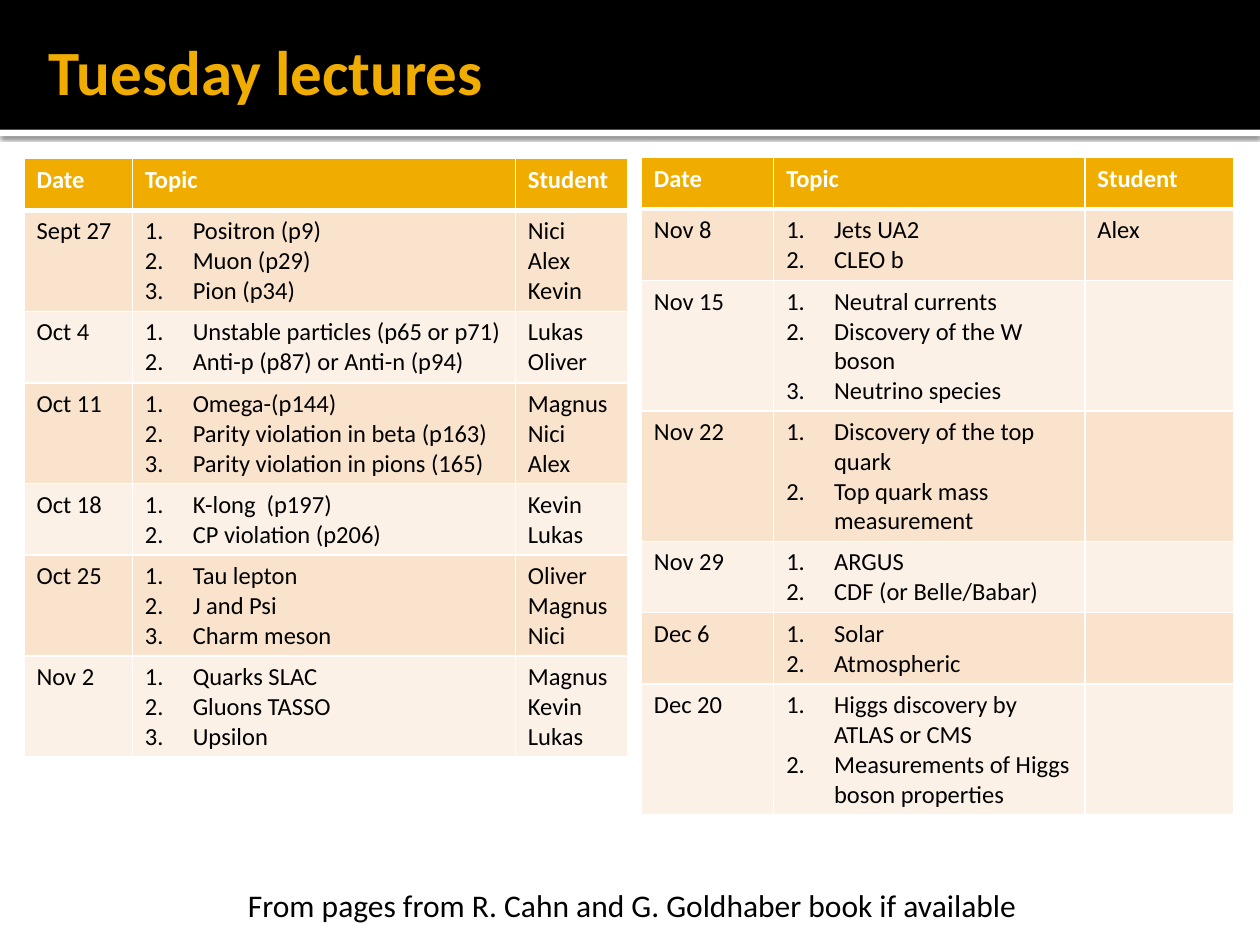
from lxml import etree
from pptx import Presentation, util as u
from pptx.dml.color import RGBColor
from pptx.enum import shapes, text
from pptx.oxml import ns

FONT = "Calibri"
GOLD, BLACK, WHITE = "F0AD00", "000000", "FFFFFF"
BANDS = ["F9E3CC", "FCF1E7"]
ROW = u.Inches(0.41)


def color(value):
    return RGBColor.from_string(value)


def style(frame, size, value, bold=False):
    for paragraph in frame.paragraphs:
        for run in paragraph.runs:
            run.font.name = FONT
            run.font.size = u.Pt(size)
            run.font.bold = bold
            run.font.color.rgb = color(value)


presentation = Presentation()
presentation.slide_width = u.Inches(10)
presentation.slide_height = u.Inches(7.5)
slide = presentation.slides.add_slide(presentation.slide_layouts[6])

for top, height, fill in [(1.03, 0.05, WHITE), (0, 1.03, BLACK)]:
    band = slide.shapes.add_shape(
        shapes.MSO_SHAPE.RECTANGLE, 0, u.Inches(top),
        presentation.slide_width, u.Inches(height))
    band.shadow.inherit = False
    band.fill.solid()
    band.fill.fore_color.rgb = color(fill)
    band.line.fill.background()
    if fill == WHITE:
        effects = band._element.spPr.find(ns.qn("a:effectLst"))
        shadow = etree.SubElement(
            effects, ns.qn("a:outerShdw"), blurRad=str(u.Pt(2.5)),
            dist=str(u.Pt(0.8)), dir="5400000", algn="tl", rotWithShape="0")
        shade = etree.SubElement(shadow, ns.qn("a:srgbClr"), val=BLACK)
        etree.SubElement(shade, ns.qn("a:alpha"), val="60000")

title = slide.shapes.add_textbox(*map(u.Inches, (0.29, 0.13, 9.49, 0.86)))
title.text_frame.word_wrap = True
title.text_frame.vertical_anchor = text.MSO_ANCHOR.MIDDLE
title.text_frame.margin_right = u.Inches(0.05)
title.text_frame.text = "Tuesday lectures"
style(title.text_frame, 36, GOLD, True)

header = ("Date", "Topic", "Student")
autumn = [
    header,
    ("Sept 27", "Positron (p9)\nMuon (p29)\nPion (p34)", "Nici\nAlex\nKevin"),
    ("Oct 4", "Unstable particles (p65 or p71)\nAnti-p (p87) or Anti-n (p94)",
     "Lukas\nOliver"),
    ("Oct 11", "Omega-(p144)\nParity violation in beta (p163)\n"
     "Parity violation in pions (165)", "Magnus\nNici\nAlex"),
    ("Oct 18", "K-long  (p197)\nCP violation (p206)", "Kevin\nLukas"),
    ("Oct 25", "Tau lepton\nJ and Psi\nCharm meson", "Oliver\nMagnus\nNici"),
    ("Nov 2", "Quarks SLAC\nGluons TASSO\nUpsilon", "Magnus\nKevin\nLukas"),
]
winter = [
    header,
    ("Nov 8", "Jets UA2\nCLEO b", "Alex"),
    ("Nov 15", "Neutral currents\nDiscovery of the W boson\nNeutrino species", ""),
    ("Nov 22", "Discovery of the top quark\nTop quark mass measurement", ""),
    ("Nov 29", "ARGUS\nCDF (or Belle/Babar)", ""),
    ("Dec 6", "Solar\nAtmospheric", ""),
    ("Dec 20", "Higgs discovery by ATLAS or CMS\n"
     "Measurements of Higgs boson properties", ""),
]

for left, top, widths, lectures in [
    (0.19, 1.26, (0.86, 3.04, 0.89), autumn),
    (5.09, 1.25, (1.05, 2.47, 1.18), winter),
]:
    table = slide.shapes.add_table(
        len(lectures), len(header), u.Inches(left), u.Inches(top),
        u.Inches(sum(widths)), ROW * len(lectures)).table
    for column, width in zip(table.columns, widths):
        column.width = u.Inches(width)
    for row, lecture in enumerate(lectures):
        table.rows[row].height = ROW
        for column, content in enumerate(lecture):
            cell = table.cell(row, column)
            properties = cell._tc.get_or_add_tcPr()
            for side in "LRTB":
                thick = (row, side) in [(0, "B"), (1, "T")]
                border = etree.SubElement(
                    properties, ns.qn("a:ln" + side), w=str(u.Pt(3 if thick else 1)))
                paint = etree.SubElement(border, ns.qn("a:solidFill"))
                etree.SubElement(paint, ns.qn("a:srgbClr"), val=WHITE)
            cell.fill.solid()
            cell.fill.fore_color.rgb = color(BANDS[(row - 1) % 2] if row else GOLD)
            cell.text_frame.text = content
            if row and column == 1:
                for paragraph in cell.text_frame.paragraphs:
                    numbering = paragraph._p.get_or_add_pPr()
                    numbering.set("marL", str(u.Inches(0.38)))
                    numbering.set("indent", str(u.Inches(-0.38)))
                    etree.SubElement(numbering, ns.qn("a:buFont"), typeface="+mj-lt")
                    etree.SubElement(
                        numbering, ns.qn("a:buAutoNum"), type="arabicPeriod")
            style(cell.text_frame, 14, BLACK if row else WHITE, row == 0)

source = slide.shapes.add_textbox(*map(u.Inches, (1.87, 6.98, 6.43, 0.4)))
source.text_frame.word_wrap = False
source.text_frame.auto_size = text.MSO_AUTO_SIZE.SHAPE_TO_FIT_TEXT
source.text_frame.text = "From pages from R. Cahn and G. Goldhaber book if available"
style(source.text_frame, 18, BLACK)

presentation.save("out.pptx")
